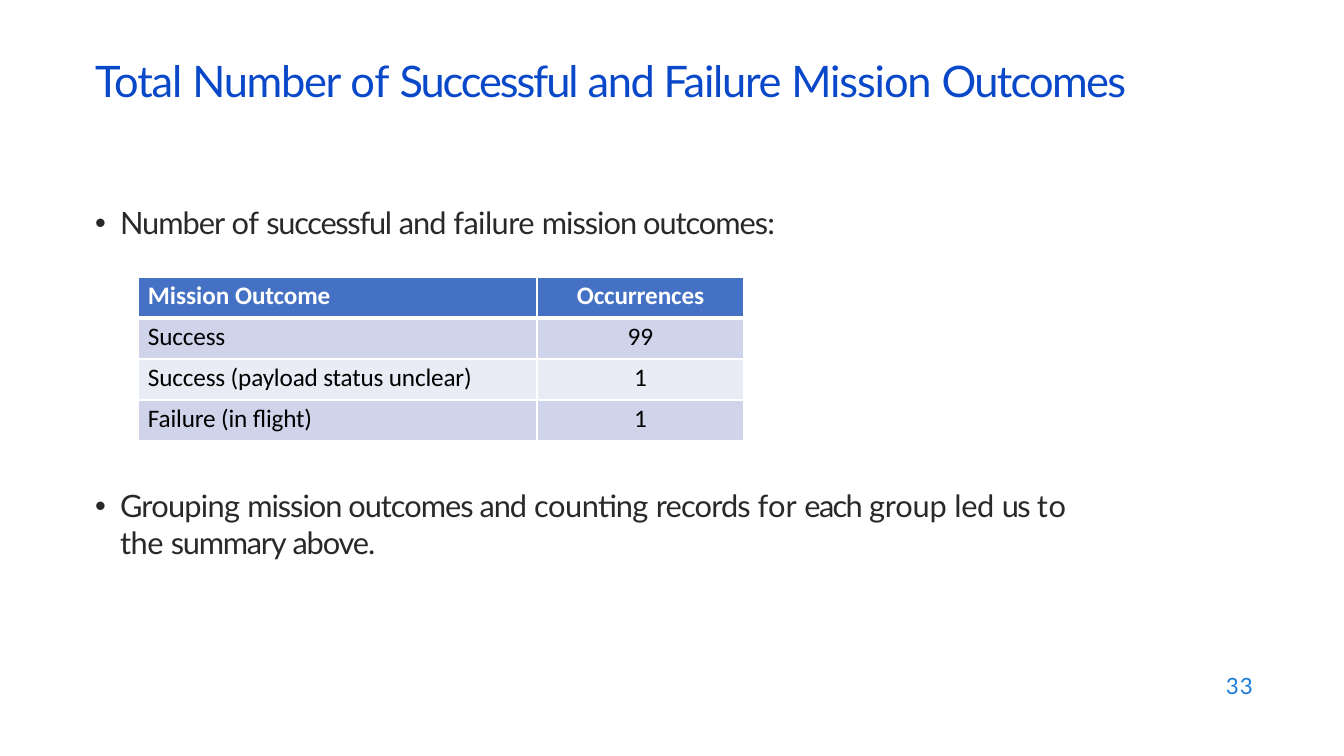
from lxml import etree
from pptx import Presentation
from pptx.dml.color import RGBColor
from pptx.enum.text import PP_ALIGN
from pptx.oxml.ns import qn
from pptx.util import Emu, Pt

LEFT, CENTER = PP_ALIGN.LEFT, PP_ALIGN.CENTER
PX = 914400 / 100.8


def add_runs(paragraph, runs, size, font, color, bold=False):
    """Add (text, letter spacing in points) pairs in one style."""
    for text, spacing in runs:
        run = paragraph.add_run()
        run.text = text
        run.font.size = Pt(size)
        run.font.name = font
        run.font.bold = bold
        run.font.color.rgb = RGBColor.from_string(color)
        run._r.get_or_add_rPr().set("spc", str(round(spacing * 100)))


def add_text(left, top, width, height, inset_top, runs, size, color):
    """Add a Lato text box and return its paragraph."""
    box = slide.shapes.add_textbox(*(Emu(round(v * PX)) for v in (left, top, width, height)))
    frame = box.text_frame
    frame.word_wrap = True
    frame.margin_left = frame.margin_right = frame.margin_bottom = 0
    frame.margin_top = Emu(round(inset_top * PX))
    paragraph = frame.paragraphs[0]
    add_runs(paragraph, runs, size, "Lato", color)
    return paragraph


prs = Presentation()
prs.slide_width = Emu(round(1344 * PX))
prs.slide_height = Emu(round(756 * PX))
slide = prs.slides.add_slide(prs.slide_layouts[6])

# Title
title_runs = [("Total ", -0.8), ("Number ", -0.9), ("of ", -0.1), ("Successful ", -1.5),
              ("and Failure ", -0.9), ("Mission ", -0.8), ("Outcomes", -1.2)]
title = add_text(94, 53, 1079, 55, 1, title_runs, 31, "0A48CA")
title._p.get_or_add_pPr().set("marL", str(round(PX)))

# Bullets above and below the table
bullets = [
    (203, 707, 39, [("Number ", -0.7), ("of ", -0.1), ("successful ", -0.9), ("and ", -0.7),
                    ("failure ", -0.4), ("mission outcomes:", -0.7)]),
    (486, 1009, 77, [("Grouping ", -0.5), ("mission outcomes and ", -0.7), ("counting ", -0.3),
                     ("records ", -0.6), ("for ", 0.1), ("each ", -1.2), ("group ", -0.1),
                     ("led ", -0.3), ("us ", -1.1), ("to ", 0.5), ("the ", -0.3),
                     ("summary ", -0.9), ("above.", -0.8)]),
]
for top, width, height, runs in bullets:
    bullet = add_text(94, top, width, height, 1, runs, 22, "292929")
    props = bullet._p.get_or_add_pPr()
    props.set("marL", str(round(26 * PX)))
    props.set("indent", str(round(-25 * PX)))
    etree.SubElement(props, qn("a:buFont"), typeface="Arial")
    etree.SubElement(props, qn("a:buChar"), char="•")

# Mission outcome table
outcomes = [
    ([("Mission ", 0), ("Outcome", -0.1)], [("Occurrences", -0.1)]),
    ([("Success", -0.1)], [("99", 0.1)]),
    ([("Success (payload status unclear)", -0.1)], [("1", 0)]),
    ([("Failure (in flight)", -0.1)], [("1", 0)]),
]
column_widths, row_height = (399, 207), 41
table = slide.shapes.add_table(
    len(outcomes), len(column_widths),
    *(Emu(round(v * PX)) for v in (138, 277, sum(column_widths), row_height * len(outcomes)))).table
table.horz_banding = False
for column, width in zip(table.columns, column_widths):
    column.width = Emu(round(width * PX))

for r, row in enumerate(outcomes):
    table.rows[r].height = Emu(round(row_height * PX))
    header = r == 0
    fill = "4471C4" if header else "CFD4EA" if r % 2 else "E9EBF5"
    for c, runs in enumerate(row):
        cell = table.cell(r, c)
        cell.fill.solid()
        cell.fill.fore_color.rgb = RGBColor.from_string(fill)
        cell.margin_left = Emu(round((0 if c else 10) * PX))
        cell.margin_right = cell.margin_bottom = 0
        cell.margin_top = Emu(round(4 * PX))
        paragraph = cell.text_frame.paragraphs[0]
        paragraph.alignment = CENTER if c else LEFT
        add_runs(paragraph, runs, 18, "Calibri", "FFFFFF" if header else "000000", header)

        # White borders, thicker under the header
        thick_side = {0: "lnB", 1: "lnT"}.get(r)
        for position, side in enumerate(("lnL", "lnR", "lnT", "lnB")):
            weight = 3 if side == thick_side else 1
            border = etree.Element(qn("a:" + side), w=str(Pt(weight)))
            solid = etree.SubElement(border, qn("a:solidFill"))
            etree.SubElement(solid, qn("a:srgbClr"), val="FFFFFF")
            cell._tc.get_or_add_tcPr().insert(position, border)

# Slide number
number = add_text(1222, 673, 35, 28, 0, [("33", 0.8)], 16, "1C7CDB")
number.line_spacing = Pt(18.4)
number._p.get_or_add_pPr().set("marL", str(round(4 * PX)))

prs.save("out.pptx")
